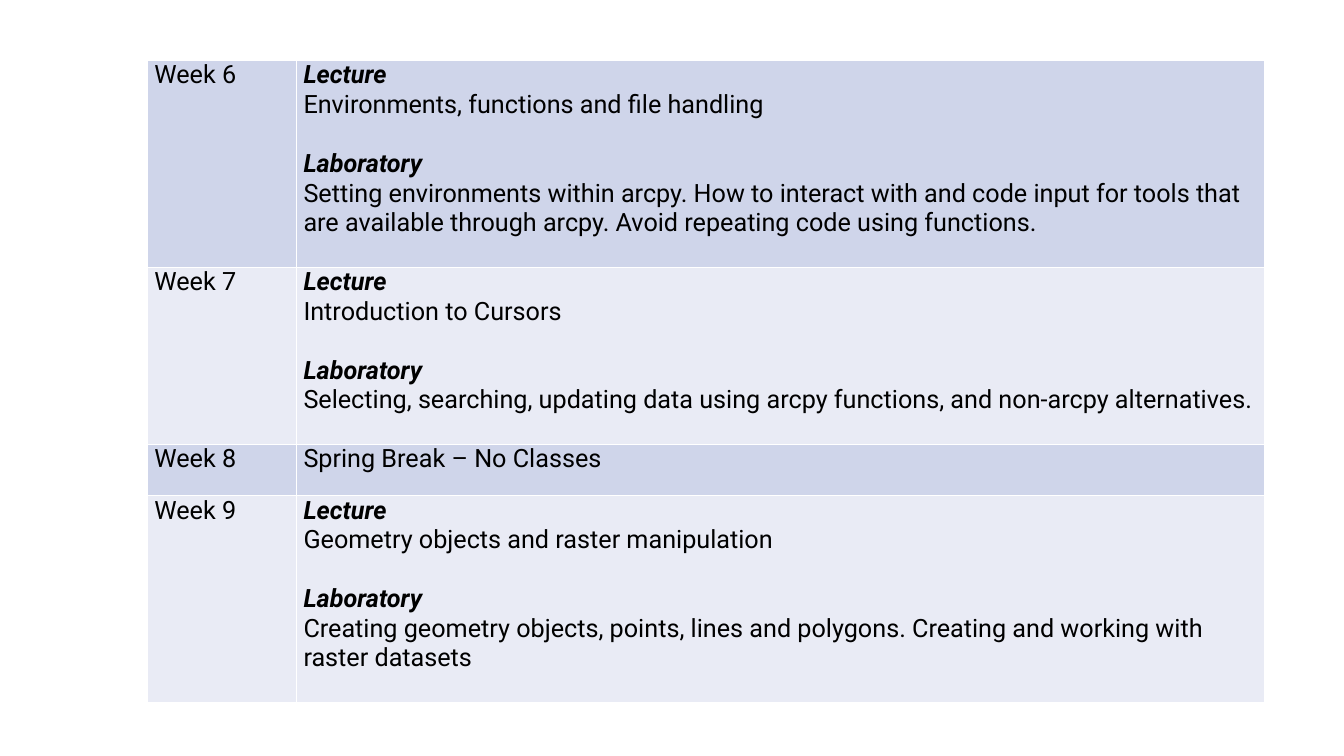
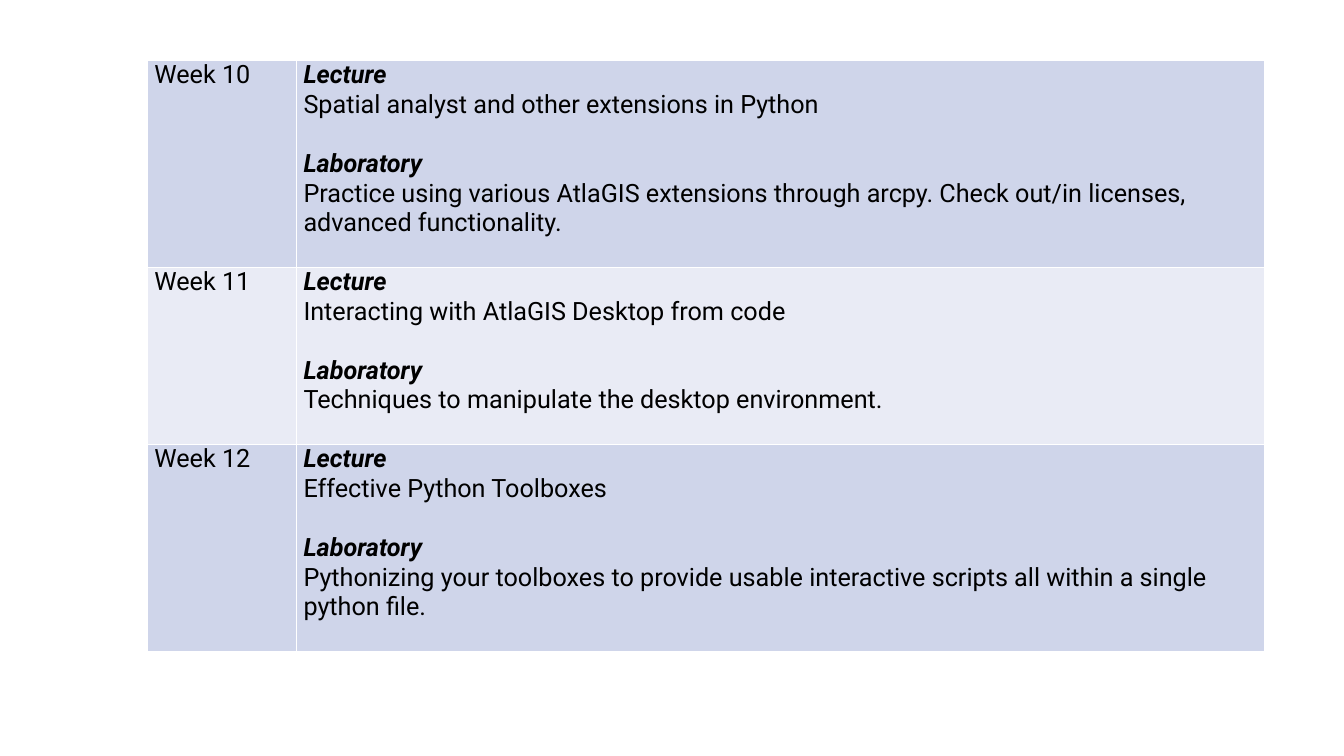
from dataclasses import dataclass

from lxml import etree
from pptx import Presentation
from pptx.dml.color import RGBColor
from pptx.oxml.ns import qn
from pptx.util import Pt


@dataclass(frozen=True)
class Theme:
    font: str = "Roboto"
    size: float = 18
    line_height: float = 21.1
    text: str = "000000"
    border: str = "FFFFFF"
    bands: tuple = ("CFD5EA", "E9EBF5")


THEME = Theme()

# Table geometry in points
LEFT, TOP = 105.3, 43.2
COLUMN_WIDTHS = (106.5, 691.2)
SIDE_MARGIN = 5
BREAK_ROW_HEIGHT = 36.7

# Each slide: (week, lecture topic, laboratory text, lines of text in the row)
# A week without a laboratory shows its topic alone
SCHEDULE = [
    [
        ("Week 6", "Environments, functions and file handling",
         "Setting environments within arcpy. How to interact with and code input "
         "for tools that are available through arcpy. Avoid repeating code using "
         "functions.", 7),
        ("Week 7", "Introduction to Cursors",
         "Selecting, searching, updating data using arcpy functions, and non-arcpy "
         "alternatives.", 6),
        ("Week 8", "Spring Break – No Classes", None, 1),
        ("Week 9", "Geometry objects and raster manipulation",
         "Creating geometry objects, points, lines and polygons. Creating and "
         "working with raster datasets", 7),
    ],
    [
        ("Week 10", "Spatial analyst and other extensions in Python",
         "Practice using various AtlaGIS extensions through arcpy. Check out/in "
         "licenses, advanced functionality.", 7),
        ("Week 11", "Interacting with AtlaGIS Desktop from code",
         "Techniques to manipulate the desktop environment.", 6),
        ("Week 12", "Effective Python Toolboxes",
         "Pythonizing your toolboxes to provide usable interactive scripts all "
         "within a single python file.", 7),
    ],
]


def style_cell(cell, fill):
    cell.margin_left = cell.margin_right = Pt(SIDE_MARGIN)
    cell.margin_top = cell.margin_bottom = Pt(0)
    properties = cell._tc.get_or_add_tcPr()
    for side in ("a:lnL", "a:lnR", "a:lnT", "a:lnB"):
        edge = etree.SubElement(properties, qn(side), w=str(Pt(1)))
        solid = etree.SubElement(edge, qn("a:solidFill"))
        etree.SubElement(solid, qn("a:srgbClr"), val=THEME.border)
    cell.fill.solid()
    cell.fill.fore_color.rgb = RGBColor.from_string(fill)


def write_cell(cell, lines):
    """Write (text, is_heading) lines, with a gap above each later heading."""
    frame = cell.text_frame
    for index, (text, is_heading) in enumerate(lines):
        paragraph = frame.add_paragraph() if index else frame.paragraphs[0]
        if index and is_heading:
            paragraph.space_before = Pt(THEME.line_height)
        run = paragraph.add_run()
        run.text = text
        run.font.name = THEME.font
        run.font.size = Pt(THEME.size)
        run.font.bold = run.font.italic = is_heading
        run.font.color.rgb = RGBColor.from_string(THEME.text)


prs = Presentation()
prs.slide_width, prs.slide_height = Pt(960), Pt(540)
blank_layout = prs.slide_layouts[6]

for weeks in SCHEDULE:
    slide = prs.slides.add_slide(blank_layout)

    # Row heights follow the text, plus one open line at the end
    heights = [(lines * THEME.line_height) if lab else BREAK_ROW_HEIGHT
               for _, _, lab, lines in weeks]
    schedule = slide.shapes.add_table(
        len(weeks), len(COLUMN_WIDTHS), Pt(LEFT), Pt(TOP),
        Pt(sum(COLUMN_WIDTHS)), Pt(sum(heights))).table
    schedule.first_row = schedule.horz_banding = False
    for column, width in zip(schedule.columns, COLUMN_WIDTHS):
        column.width = Pt(width)

    # One banded row per week
    for index, (week, topic, lab, _) in enumerate(weeks):
        schedule.rows[index].height = Pt(heights[index])
        content = [(topic, False)]
        if lab:
            content = [("Lecture", True), (topic, False),
                       ("Laboratory", True), (lab, False)]
        for cell, lines in zip(schedule.rows[index].cells,
                               ([(week, False)], content)):
            style_cell(cell, THEME.bands[index % 2])
            write_cell(cell, lines)

prs.save("out.pptx")
